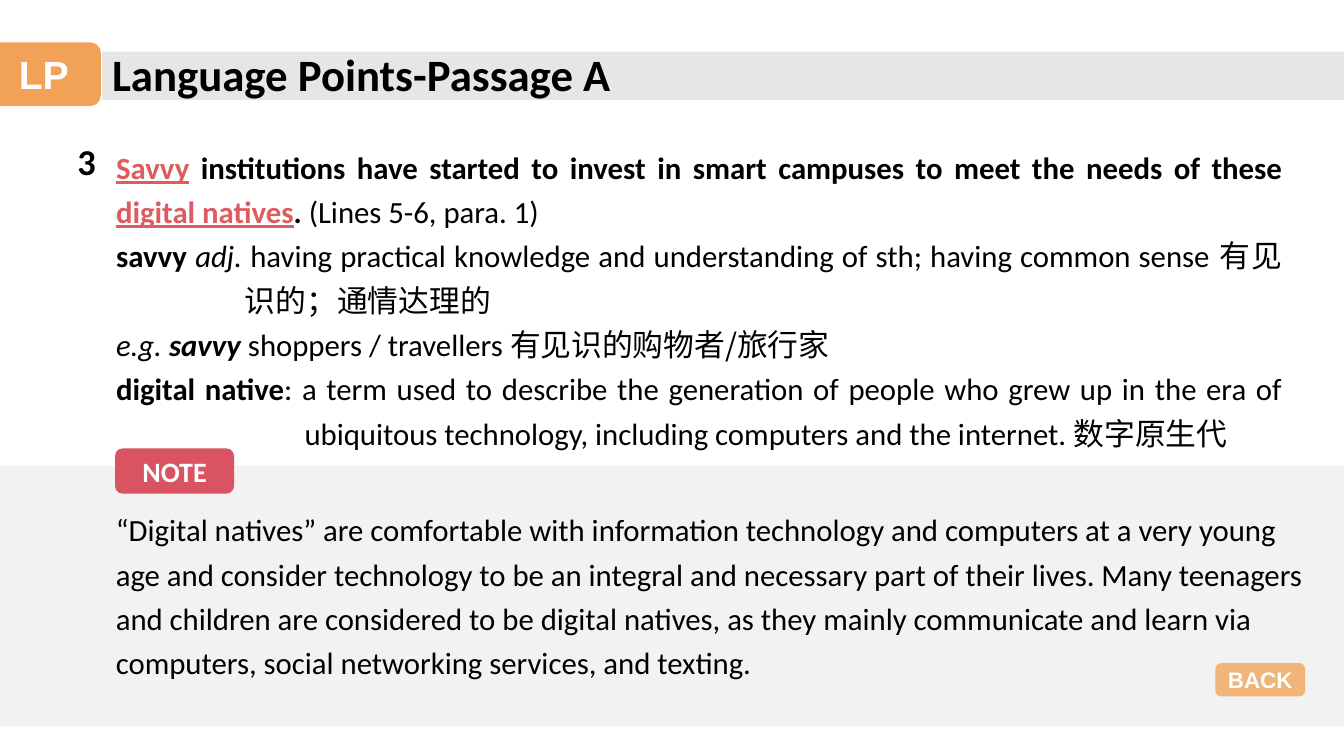
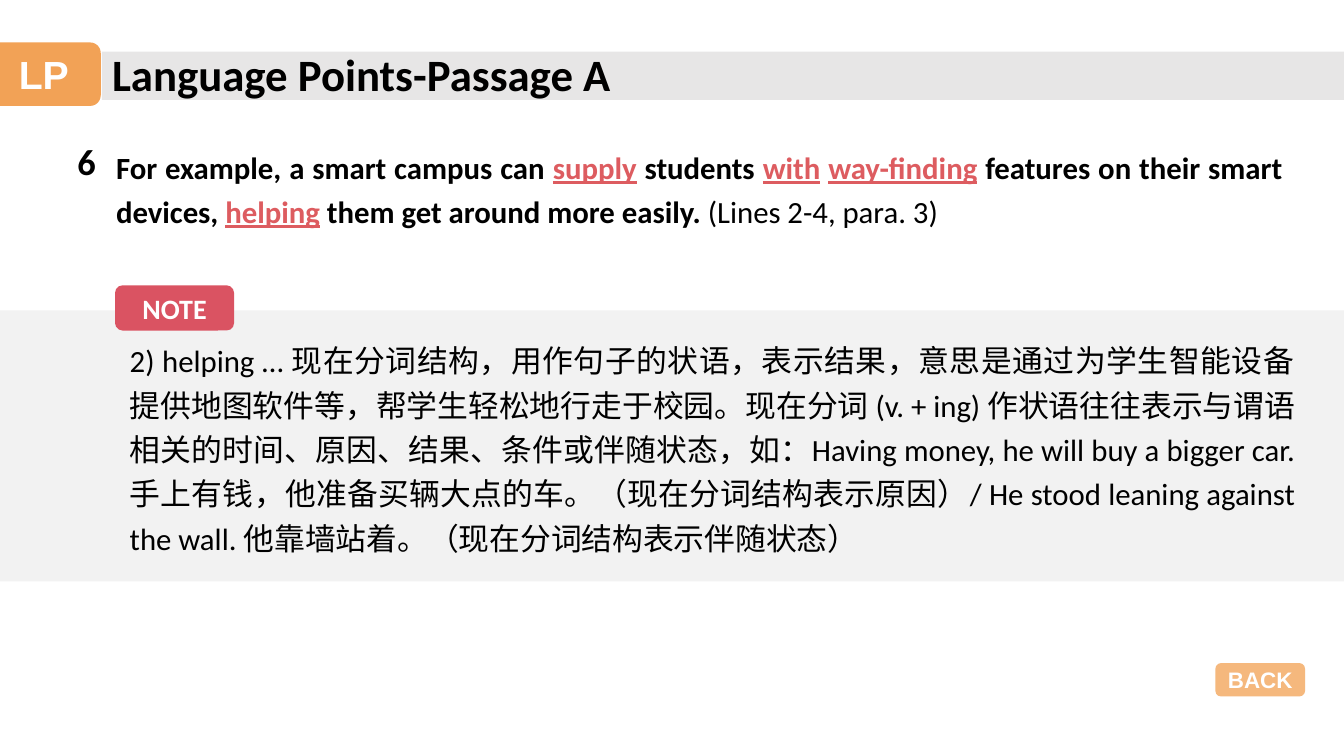
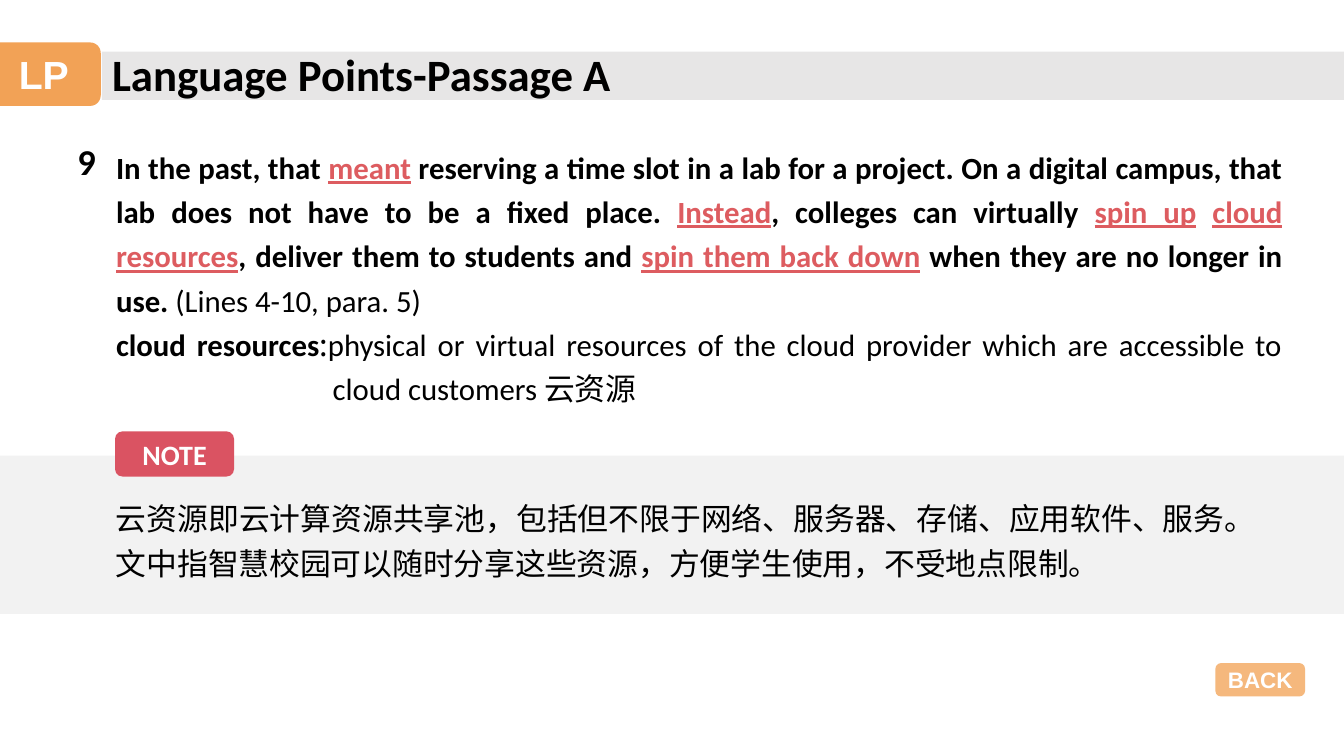
from lxml import etree
from pptx import Presentation
from pptx.dml.color import RGBColor
from pptx.enum.shapes import MSO_SHAPE
from pptx.enum.text import MSO_ANCHOR, MSO_AUTO_SIZE, PP_ALIGN
from pptx.oxml.ns import qn
from pptx.util import Cm, Pt

RECTANGLE = MSO_SHAPE.RECTANGLE
ROUNDED = MSO_SHAPE.ROUNDED_RECTANGLE
LEFT, CENTER, JUSTIFY = PP_ALIGN.LEFT, PP_ALIGN.CENTER, PP_ALIGN.JUSTIFY
TOP, MIDDLE = MSO_ANCHOR.TOP, MSO_ANCHOR.MIDDLE
FIXED_SIZE = MSO_AUTO_SIZE.NONE

COLORS = {
    "text": "000000",
    "white": "FFFFFF",
    "keyword": "DD5C60",
    "badge": "F19B48",
    "tag": "DA5362",
    "band": "E7E6E6",
    "panel": "F2F2F2",
}
LATIN, SANS, CHINESE = "Calibri", "Arial", "Noto Sans CJK SC"

SLIDE_WIDTH, SLIDE_HEIGHT = 33.87, 19.05
TITLE = "Language Points-Passage A"
TITLE_BOX = (2.57, 1.04, 13.61, 1.63)
BAND_BOX = (2.57, 1.3, 31.3, 1.22)
BADGE_BOX = (-0.33, 1.07, 2.87, 1.6)
BACK_BOX = (30.63, 16.71, 2.26, 0.84)
NUMBER_BOX = (1.7, 3.38, 1.19, 1.37)
BODY_LEFT, BODY_TOP, BODY_WIDTH = 2.67, 3.43, 29.9
TAG_LEFT, TAG_WIDTH, TAG_HEIGHT = 2.9, 3, 1.14

# Run styles used inside the explanations
STYLES = {
    "plain": {},
    "bold": {"bold": True},
    "italic": {"italic": True},
    "bold italic": {"bold": True, "italic": True},
    "keyword": {"bold": True, "underline": True},
    "chinese": {"name": CHINESE},
}

# Each paragraph is (hanging indent in cm, [(style, text), ...])
POINTS = [
    {
        "number": "3",
        "body_height": 8.08,
        "paragraphs": [
            (0, [
                ("keyword", "Savvy"),
                ("bold", " institutions have started to invest in smart campuses "
                         "to meet the needs of these "),
                ("keyword", "digital natives"),
                ("bold", ". "),
                ("plain", "(Lines 5-6, para. 1)"),
            ]),
            (3.25, [
                ("bold", "savvy "),
                ("italic", "adj."),
                ("plain", " having practical knowledge and understanding of sth; "
                          "having common sense "),
                ("chinese", "有见识的；通情达理的"),
            ]),
            (0, [
                ("italic", "e.g. "),
                ("bold italic", "savvy"),
                ("plain", " shoppers / travellers "),
                ("chinese", "有见识的购物者/旅行家"),
            ]),
            (4.75, [
                ("bold", "digital native"),
                ("plain", ": a term used to describe the generation of people who "
                          "grew up in the era of ubiquitous technology, including "
                          "computers and the internet. "),
                ("chinese", "数字原生代"),
            ]),
        ],
        "panel": (11.73, 6.58),
        "tag_top": 11.3,
        "note_box": (2.67, 12.57, 30.66, 4.7),
        "note_alignment": LEFT,
        "note": "“Digital natives” are comfortable with information technology and "
                "computers at a very young age and consider technology to be an "
                "integral and necessary part of their lives. Many teenagers and "
                "children are considered to be digital natives, as they mainly "
                "communicate and learn via computers, social networking services, "
                "and texting.",
    },
    {
        "number": "6",
        "body_height": 2.44,
        "paragraphs": [
            (0, [
                ("bold", "For example, a smart campus can "),
                ("keyword", "supply"),
                ("bold", " students "),
                ("keyword", "with"),
                ("bold", " "),
                ("keyword", "way-finding"),
                ("bold", " features on their smart devices, "),
                ("keyword", "helping"),
                ("bold", " them get around more easily. "),
                ("plain", "(Lines 2-4, para. 3)"),
            ]),
        ],
        "panel": (7.82, 6.83),
        "tag_top": 7.19,
        "note_box": (3.02, 8.31, 29.87, 5.82),
        "note_alignment": JUSTIFY,
        "note": "2) helping … 现在分词结构，用作句子的状语，表示结果，意思是通过为学生"
                "智能设备提供地图软件等，帮学生轻松地行走于校园。现在分词 (v. + ing) "
                "作状语往往表示与谓语相关的时间、原因、结果、条件或伴随状态，如："
                "Having money, he will buy a bigger car. 手上有钱，他准备买辆大点的车。"
                "（现在分词结构表示原因）/ He stood leaning against the wall. "
                "他靠墙站着。（现在分词结构表示伴随状态）",
    },
    {
        "number": "9",
        "body_height": 6.93,
        "paragraphs": [
            (0, [
                ("bold", "In the past, that "),
                ("keyword", "meant"),
                ("bold", " reserving a time slot in a lab for a project. On a digital "
                         "campus, that lab does not have to be a fixed place. "),
                ("keyword", "Instead"),
                ("bold", ", colleges can virtually "),
                ("keyword", "spin up"),
                ("bold", " "),
                ("keyword", "cloud resources"),
                ("bold", ", deliver them to students and "),
                ("keyword", "spin them back down"),
                ("bold", " when they are no longer in use. "),
                ("plain", "(Lines 4-10, para. 5)"),
            ]),
            (5.46, [
                ("bold", "cloud resources"),
                ("chinese", ":"),
                ("plain", "physical or virtual resources of the cloud provider which "
                          "are accessible to cloud customers "),
                ("chinese", "云资源"),
            ]),
        ],
        "panel": (11.48, 3.99),
        "tag_top": 10.87,
        "note_box": (2.67, 12.29, 28.47, 2.41),
        "note_alignment": JUSTIFY,
        "note": "云资源即云计算资源共享池，包括但不限于网络、服务器、存储、应用软件、"
                "服务。文中指智慧校园可以随时分享这些资源，方便学生使用，不受地点限制。",
    },
]


def color(name):
    return RGBColor.from_string(COLORS[name])


def lengths(box):
    return [Cm(value) for value in box]


def place(shape, box):
    shape.left, shape.top, shape.width, shape.height = lengths(box)


def format_paragraph(paragraph, size, bold=False, color_name="text", name=LATIN,
                     alignment=LEFT, line_spacing=1.0):
    paragraph.alignment = alignment
    paragraph.line_spacing = line_spacing
    font = paragraph.font
    font.size, font.bold, font.name = Pt(size), bold, name
    font.color.rgb = color(color_name)
    default_run = paragraph._p.pPr.find(qn("a:defRPr"))
    etree.SubElement(default_run, qn("a:ea"), typeface=CHINESE)


def set_hanging_indent(paragraph, indent):
    """Hang the first line and switch off the template's bullet."""
    properties = paragraph._p.get_or_add_pPr()
    properties.set("marL", str(Cm(indent)))
    properties.set("indent", str(-Cm(indent)))
    etree.SubElement(properties, qn("a:buNone"))


def add_runs(paragraph, runs):
    for style, text in runs:
        run = paragraph.add_run()
        run.text = text
        for attribute, value in STYLES[style].items():
            setattr(run.font, attribute, value)
        if style == "keyword":
            run.font.color.rgb = color("keyword")


def add_block(slide, kind, box, fill, opacity=100):
    shape = slide.shapes.add_shape(kind, *lengths(box))
    shape.shadow.inherit = False
    shape.fill.solid()
    shape.fill.fore_color.rgb = color(fill)
    shape.line.fill.background()
    if opacity < 100:
        rgb = shape._element.spPr.find(qn("a:solidFill")).find(qn("a:srgbClr"))
        etree.SubElement(rgb, qn("a:alpha"), val=str(opacity * 1000))
    return shape


def add_label(slide, box, fill, text, size, name, opacity=100):
    shape = add_block(slide, ROUNDED, box, fill, opacity)
    frame = shape.text_frame
    frame.margin_left = frame.margin_right = 0
    frame.margin_top = frame.margin_bottom = 0
    frame.vertical_anchor = MIDDLE
    frame.text = text
    format_paragraph(frame.paragraphs[0], size, True, "white", name, CENTER)
    return shape


def add_text(slide, box, text, size, **formatting):
    frame = slide.shapes.add_textbox(*lengths(box)).text_frame
    frame.word_wrap = True
    frame.text = text
    format_paragraph(frame.paragraphs[0], size, **formatting)


def move_to_layout(layout, shapes):
    """Put shapes behind the placeholders of every slide."""
    for index, shape in enumerate(shapes):
        element = shape._element
        element.nvSpPr.cNvPr.set("id", str(100 + index))
        layout.shapes.element.insert(2 + index, element)


def fill_title(slide):
    title = slide.shapes.title
    place(title, TITLE_BOX)
    frame = title.text_frame
    frame.auto_size = FIXED_SIZE
    frame.vertical_anchor = MIDDLE
    frame.text = TITLE
    format_paragraph(frame.paragraphs[0], 32, bold=True)


def fill_body(slide, height, paragraphs):
    body = slide.placeholders[1]
    place(body, (BODY_LEFT, BODY_TOP, BODY_WIDTH, height))
    frame = body.text_frame
    frame.auto_size = FIXED_SIZE
    frame.vertical_anchor = TOP
    for index, (indent, runs) in enumerate(paragraphs):
        paragraph = frame.add_paragraph() if index else frame.paragraphs[0]
        paragraph.space_before = Pt(0)
        set_hanging_indent(paragraph, indent)
        format_paragraph(paragraph, 22, alignment=JUSTIFY, line_spacing=1.2)
        add_runs(paragraph, runs)


def add_note(slide, point):
    top, height = point["panel"]
    add_block(slide, RECTANGLE, (0, top, SLIDE_WIDTH, height), "panel")
    add_text(slide, point["note_box"], point["note"], 22,
             alignment=point["note_alignment"], line_spacing=1.2)
    tag_box = (TAG_LEFT, point["tag_top"], TAG_WIDTH, TAG_HEIGHT)
    add_label(slide, tag_box, "tag", "NOTE", 20, LATIN)


def add_point_slide(presentation, layout, point):
    slide = presentation.slides.add_slide(layout)
    fill_title(slide)
    fill_body(slide, point["body_height"], point["paragraphs"])
    add_text(slide, NUMBER_BOX, point["number"], 26, bold=True)
    add_note(slide, point)
    add_label(slide, BACK_BOX, "badge", "BACK", 16, SANS, opacity=71)
    return slide


def main():
    presentation = Presentation()
    presentation.slide_width = Cm(SLIDE_WIDTH)
    presentation.slide_height = Cm(SLIDE_HEIGHT)
    layout = presentation.slide_layouts[1]
    slides = [add_point_slide(presentation, layout, point) for point in POINTS]

    # Header shared by all slides
    band = add_block(slides[0], RECTANGLE, BAND_BOX, "band")
    badge = add_label(slides[0], BADGE_BOX, "badge", "LP", 28, SANS, opacity=92)
    move_to_layout(layout, [band, badge])

    presentation.save("out.pptx")


if __name__ == "__main__":
    main()
